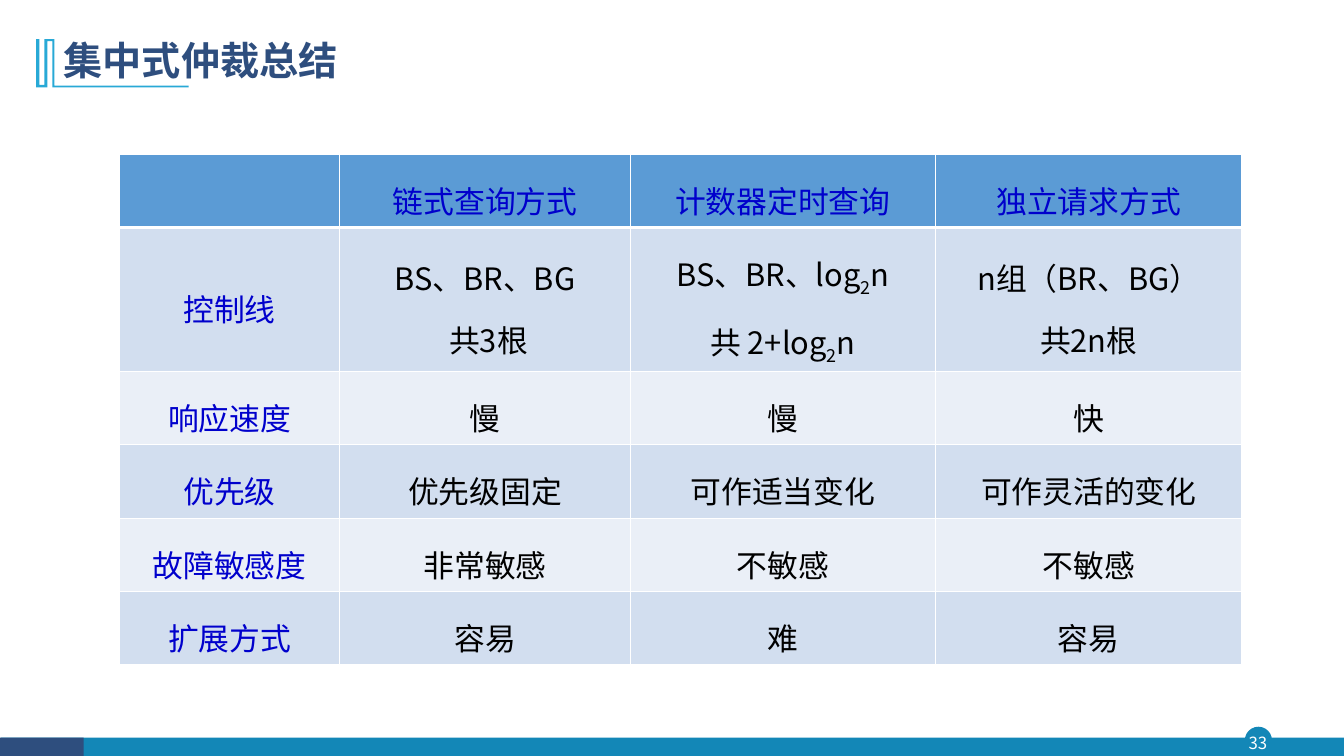
"""Build the slide that sums up the three centralised arbitration methods."""
from lxml import etree
from pptx import Presentation
from pptx import util as u
from pptx.dml import color
from pptx.enum import shapes, text
from pptx.oxml import ns

TITLE = "集中式仲裁总结"
PAGE_NUMBER = "33"
ROWS = [
    ["", "链式查询方式", "计数器定时查询", "独立请求方式"],
    ["控制线", "BS、BR、BG\n 共3根", "BS、BR、log_2_n\n共 2+log_2_n", "n组（BR、BG）\n共2n根"],
    ["响应速度", "慢", "慢", "快"],
    ["优先级", "优先级固定", "可作适当变化", "可作灵活的变化"],
    ["故障敏感度", "非常敏感", "不敏感", "不敏感"],
    ["扩展方式", "容易", "难", "容易"],
]
COLORS = {
    "navy": "2E4E7E", "teal": "1387B7", "cyan": "28A9D6", "white": "FFFFFF",
    "header": "5B9BD5", "odd": "D2DEEF", "even": "EAEFF7",
    "label": "0000CC", "value": "000000",
}
FONT = "Noto Sans CJK SC"
SLIDE_SIZE = (960, 540)
TABLE_ORIGIN = (85.2, 110.2)
COLUMN_WIDTHS = [157.5, 207.5, 218, 219]
ROW_HEIGHTS = [52.4, 102.8] + [52.4] * 4
FOOTER = [
    (shapes.MSO_SHAPE.OVAL, (889.2, 519.1, 19.4, 19.4), "teal"),
    (shapes.MSO_SHAPE.RECTANGLE, (0.7, 527, 959.3, 13.5), "teal"),
    (shapes.MSO_SHAPE.RECTANGLE, (0, 527, 59.8, 13.5), "navy"),
]
ORNAMENT = [
    (38.9, 28), (38.9, 61.2), (134.8, 61.2), (134.8, 62.4), (37.5, 62.4),
    (37.5, 29.4), (33.9, 29.4), (33.9, 62.4), (25.8, 62.4), (25.8, 28),
    (28.2, 28), (28.2, 60.6), (31.7, 60.6), (31.7, 28),
]
CELL_FORMAT = {
    "vertical_anchor": text.MSO_ANCHOR.MIDDLE,
    "margin_left": u.Pt(5.2), "margin_right": u.Pt(5.2),
    "margin_top": u.Pt(2.6), "margin_bottom": u.Pt(2.6),
}
NUMBER_FORMAT = {
    "vertical_anchor": text.MSO_ANCHOR.MIDDLE, "word_wrap": True,
    "margin_left": 0, "margin_right": 0, "margin_top": 0, "margin_bottom": 0,
}


def rgb(name):
    return color.RGBColor.from_string(COLORS[name])


def apply(target, values):
    for name, value in values.items():
        setattr(target, name, value)


def paint(shape, name):
    shape.shadow.inherit = False
    shape.fill.solid()
    shape.fill.fore_color.rgb = rgb(name)
    shape.line.fill.background()


def write(para, line, size, name, bold=False, spacing=1.0, align=text.PP_ALIGN.CENTER):
    """Add a line of text; parts between underscores become subscripts."""
    apply(para, {"alignment": align, "line_spacing": spacing})
    for index, part in enumerate(line.split("_")):
        span = para.add_run()
        span.text = part
        apply(span.font, {"size": u.Pt(size), "name": FONT, "bold": bold})
        span.font.color.rgb = rgb(name)
        properties = span._r.get_or_add_rPr()
        etree.SubElement(properties, ns.qn("a:ea"), typeface=FONT)
        if index % 2:
            properties.set("baseline", "-25000")


def add_borders(cell, widths):
    properties = cell._tc.get_or_add_tcPr()
    for side, width in widths.items():
        line = etree.SubElement(properties, ns.qn(f"a:ln{side}"), w=str(u.Pt(width)))
        fill = etree.SubElement(line, ns.qn("a:solidFill"))
        etree.SubElement(fill, ns.qn("a:srgbClr"), val=COLORS["white"])


def add_frame(page):
    for kind, place, name in FOOTER:
        paint(page.shapes.add_shape(kind, *map(u.Pt, place)), name)
    box = page.shapes.add_textbox(*map(u.Pt, (887, 519.1, 23, 22.3)))
    apply(box.text_frame, NUMBER_FORMAT)
    write(box.text_frame.paragraphs[0], PAGE_NUMBER, 12, "white")
    points = [tuple(map(u.Pt, point)) for point in ORNAMENT]
    builder = page.shapes.build_freeform(*points[0])
    builder.add_line_segments(points[1:], close=True)
    paint(builder.convert_to_shape(), "cyan")


def add_title(page):
    title = page.shapes.title
    apply(title, dict(zip(("left", "top", "width", "height"), map(u.Pt, (38.2, 20.2, 828, 49)))))
    apply(title.text_frame, {"vertical_anchor": text.MSO_ANCHOR.MIDDLE, "word_wrap": True})
    write(title.text_frame.paragraphs[0], TITLE, 28, "navy", True, 0.9, text.PP_ALIGN.LEFT)


def add_summary(page):
    extent = (sum(COLUMN_WIDTHS), sum(ROW_HEIGHTS))
    place = map(u.Pt, TABLE_ORIGIN + extent)
    table = page.shapes.add_table(len(ROWS), len(COLUMN_WIDTHS), *place).table
    for column, width in zip(table.columns, COLUMN_WIDTHS):
        column.width = u.Pt(width)
    for r, (row, height) in enumerate(zip(ROWS, ROW_HEIGHTS)):
        table.rows[r].height = u.Pt(height)
        band = "header" if r == 0 else "odd" if r % 2 else "even"
        borders = {"L": 1, "R": 1, "T": 3 if r == 1 else 1, "B": 3 if r == 0 else 1}
        for c, content in enumerate(row):
            cell = table.cell(r, c)
            apply(cell, CELL_FORMAT)
            add_borders(cell, borders)
            cell.fill.solid()
            cell.fill.fore_color.rgb = rgb(band)
            if not content:
                continue
            ink = "label" if r == 0 or c == 0 else "value"
            for index, line in enumerate(content.split("\n")):
                frame = cell.text_frame
                para = frame.add_paragraph() if index else frame.paragraphs[0]
                write(para, line, 22, ink, spacing=1.4)


def main():
    deck = Presentation()
    deck.slide_width, deck.slide_height = map(u.Pt, SLIDE_SIZE)
    page = deck.slides.add_slide(deck.slide_layouts[5])
    add_frame(page)
    add_title(page)
    add_summary(page)
    deck.save("out.pptx")


if __name__ == "__main__":
    main()
